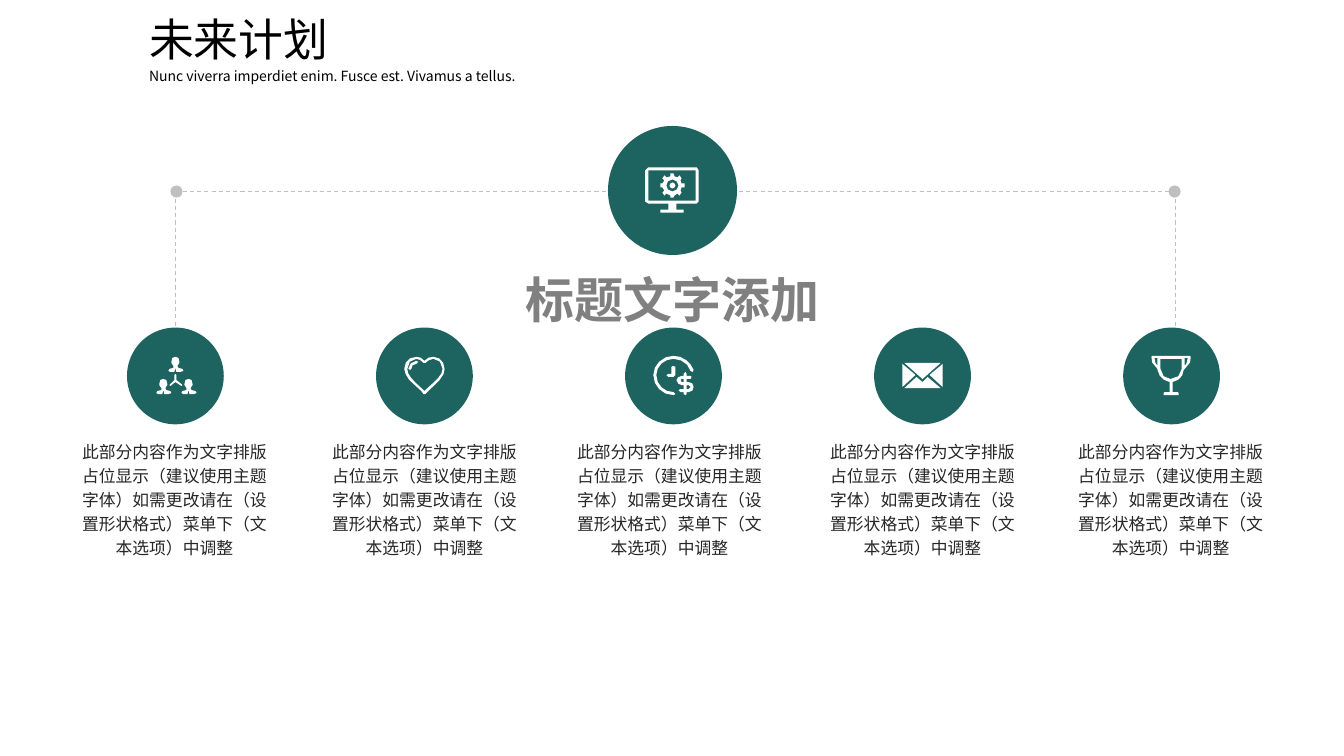
"""Build the future-plan slide: a hub linked to five icon columns."""
from math import dist
from lxml.etree import SubElement
from pptx import Presentation
from pptx.dml.color import RGBColor
from pptx.enum.dml import MSO_LINE
from pptx.enum.shapes import MSO_CONNECTOR, MSO_SHAPE
from pptx.enum.text import MSO_AUTO_SIZE, PP_ALIGN
from pptx.oxml.ns import qn
from pptx.util import Inches, Pt

FONT = "Noto Sans CJK SC"
TEAL, GREY, WHITE = "1D635F", "BFBFBF", "FFFFFF"
BODY = ("此部分内容作为文字排版占位显示（建议使用主题字体）"
        "如需更改请在（设置形状格式）菜单下（文本选项）中调整")
BODY_LEFTS = [0.69, 3.17, 5.6, 8.11, 10.57]
HEADINGS = [
    ("标题文字添加", (4.84, 2.51, 3.67, 0.71), 35, "808080", True, PP_ALIGN.CENTER, 1.2),
    ("未来计划", (1.38, 0.07, 2.49, 0.64), 32, "000000", False, PP_ALIGN.LEFT, 1.0),
    ("Nunc viverra imperdiet enim. Fusce est. Vivamus a tellus.",
     (1.38, 0.62, 4.03, 0.27), 10, "000000", False, PP_ALIGN.LEFT, 1.0),
]
HUB_CENTER, HUB_SIZE = (6.67, 1.89), 1.28
FIRST_CENTER, PITCH, DISC_SIZE = (1.74, 3.73), 2.47, 0.96
LINE_LEFT, LINE_RIGHT, LINE_TOP, LINE_BOTTOM = 1.74, 11.66, 1.9, 3.91
DOT_CENTERS, DOT_SIZE = [(1.75, 1.9), (11.65, 1.9)], 0.12

PERSON = ("0 0 L 3 1 L 4 5 L 4 6 L 2 9 L 3 11 L 7 12 L 8 14 L 5 15 L 1 15 L 0 11 "
          "L -1 15 L -5 15 L -7 14 L -6 12 L -2 11 L -2 9 L -4 6 L -4 5 L -3 1")
TEAM_LINK = "0 -2 L 1 -1 L 1 4 L 7 9 L 6 10 L 0 6 L -5 10 L -6 9 L -1 4 L -1 -1"
TEAM = [(PERSON, 0, -19), (PERSON, -12, 3), (PERSON, 13, 3), (TEAM_LINK, 0, 0)]
HEART = [
    "-8 -15 L -6 -14 L -8 -12 C -11 -12 -13 -10 -13 -7 L -14 -6 L -16 -7 "
    "C -16 -11 -12 -15 -8 -15",
    "-8 -17 C -13 -17 -17 -13 -17 -7 C -17 -1 -12 4 -2 13 L 0 15 L 2 13 "
    "C 12 4 18 -1 18 -7 C 18 -13 14 -17 9 -17 C 6 -17 3 -15 1 -13 L -1 -13 "
    "C -3 -15 -5 -17 -8 -17",
    "-8 -19 C -5 -19 -2 -18 0 -15 C 2 -18 6 -19 9 -19 C 15 -19 20 -14 20 -7 "
    "C 20 -4 19 0 15 4 L 4 15 L 1 18 L -1 18 L -3 15 L -15 4 "
    "C -18 0 -20 -4 -20 -7 C -20 -14 -15 -19 -8 -19",
]
CLOCK = [
    "13 9 L 13 13 L 15 13 L 17 11 L 15 9",
    "8 3 L 7 4 L 8 6 L 10 6 L 10 3",
    "12 -4 L 13 -2 L 13 0 L 17 0 L 18 1 L 17 3 L 13 3 L 13 6 L 15 6 "
    "C 18 6 20 8 20 11 C 20 14 18 16 15 16 L 13 16 L 13 18 L 12 19 L 10 18 L 10 16 "
    "L 7 16 L 5 14 L 7 13 L 10 13 L 10 9 L 8 9 C 6 9 3 7 3 4 C 3 2 6 0 8 0 L 10 0 "
    "L 10 -2",
    "0 -10 L 2 -9 L 2 -1 L 0 1 L -5 1 L -7 -1 L -5 -2 L -2 -2 L -2 -9",
    "0 -20 C 9 -20 17 -14 20 -6 L 19 -4 L 17 -5 C 15 -12 8 -17 0 -17 "
    "C -9 -17 -17 -10 -17 -1 C -17 9 -9 16 0 16 L 2 18 L 0 19 "
    "C -11 19 -20 10 -20 -1 C -20 -11 -11 -20 0 -20",
]
ENVELOPE = [
    "-6 1 L 0 6 L 5 1 L 18 12 L -18 12",
    "20 -12 L 20 11 L 7 -1",
    "-20 -12 L -7 -1 L -20 11",
    "-18 -13 L 18 -13 L 0 3",
]
TROPHY = [
    "19 -19 L 18 -20 L -19 -20 L -20 -19 C -20 -19 -20 -8 -14 -7 L -14 -6 "
    "C -13 0 -8 5 -2 6 L -2 16 L -7 16 L -8 17 L -8 19 L 7 19 L 7 17 L 6 16 "
    "L 1 16 L 1 6 C 7 5 12 0 12 -6 L 13 -7 C 19 -8 19 -19 19 -19",
    "-1 3 C -6 3 -11 -1 -11 -7 L -11 -17 L 10 -17 L 10 -7 C 10 -1 5 3 -1 3",
    "-14 -10 L -16 -13 L -17 -18 L -14 -18",
    "13 -10 L 13 -18 L 16 -18 L 15 -13",
]
MONITOR = [
    "0 -8 L 2 -7 L 3 -5 L 2 -3 L 0 -2 L -2 -3 L -3 -5 L -2 -7",
    "0 -11 C -4 -11 -6 -8 -6 -5 C -6 -2 -4 1 0 1 C 3 1 6 -2 6 -5 C 6 -8 3 -11 0 -11",
    "-2 -17 L 1 -17 L 2 -14 L 5 -13 L 7 -15 L 9 -12 L 8 -10 L 9 -7 L 12 -7 L 12 -3 "
    "L 9 -3 L 8 0 L 9 2 L 7 5 L 5 3 L 2 5 L 1 7 L -2 7 L -2 5 L -6 3 L -8 5 L -10 2 "
    "L -8 0 L -10 -3 L -12 -3 L -12 -7 L -10 -7 L -8 -10 L -10 -12 L -8 -15 "
    "L -6 -13 L -2 -14",
    "-24 -20 L -24 10 L 23 10 L 23 -20",
    "-24 -23 L 24 -23 L 26 -20 L 26 11 L 24 13 L 4 13 L 4 19 L 11 19 L 11 22 "
    "L -12 22 L -12 19 L -4 19 L -4 13 L -24 13 L -27 11 L -27 -20",
]
COLUMN_ICONS = [TEAM, HEART, CLOCK, ENVELOPE, TROPHY]
STEP_LENGTH, MOST_STEPS = 6, 4


def color(value):
    return RGBColor.from_string(value)


def paint(shape, fill):
    shape.shadow.inherit = False
    shape.fill.solid()
    shape.fill.fore_color.rgb = color(fill)
    shape.line.fill.background()


def add_disc(page, center, size, fill):
    left, top = (Inches(middle - size / 2) for middle in center)
    paint(page.shapes.add_shape(MSO_SHAPE.OVAL, left, top, Inches(size), Inches(size)), fill)


def trace(outline, shift_x=0, shift_y=0):
    points = []
    for segment in outline.replace("C", "L").split("L"):
        values = [int(word) for word in segment.split()]
        pairs = list(zip(values[::2], values[1::2]))
        if len(pairs) == 1:
            points += pairs
            continue
        knots = [points[-1]] + pairs
        steps = max(2, min(MOST_STEPS, round(dist(knots[0], knots[3]) / STEP_LENGTH)))
        for step in range(1, steps + 1):
            t = step / steps
            weights = ((1 - t) ** 3, 3 * t * (1 - t) ** 2, 3 * t * t * (1 - t), t ** 3)
            points.append(tuple(sum(w * knot[axis] for w, knot in zip(weights, knots))
                                for axis in (0, 1)))
    return [(Inches((x + shift_x) / 100), Inches((y + shift_y) / 100)) for x, y in points]


def add_icon(page, center, outlines):
    builder = None
    for outline in outlines:
        parts = (outline,) if isinstance(outline, str) else outline
        start, *rest = trace(*parts)
        if builder is None:
            builder = page.shapes.build_freeform(*start)
        else:
            builder.move_to(*start)
        builder.add_line_segments(rest, close=True)
    paint(builder.convert_to_shape(*(Inches(value) for value in center)), WHITE)


def add_line(page, *ends):
    line = page.shapes.add_connector(MSO_CONNECTOR.STRAIGHT, *(Inches(end) for end in ends))
    formats = {"width": Pt(0.75), "dash_style": MSO_LINE.DASH}
    line.line.color.rgb = color(GREY)
    for name, value in formats.items():
        setattr(line.line, name, value)
    SubElement(line._element.spPr, qn("a:effectLst"))


def add_text(page, text, place, size, ink, bold, align, spacing):
    frame = page.shapes.add_textbox(*(Inches(value) for value in place)).text_frame
    para = frame.paragraphs[0]
    span = para.add_run()
    span.text = text
    formats = [
        (frame, {"word_wrap": True, "auto_size": MSO_AUTO_SIZE.SHAPE_TO_FIT_TEXT}),
        (para, {"alignment": align, "line_spacing": spacing}),
        (span.font, {"size": Pt(size), "bold": bold, "name": FONT}),
    ]
    for target, values in formats:
        for name, value in values.items():
            setattr(target, name, value)
    span.font.color.rgb = color(ink)
    SubElement(span._r.get_or_add_rPr(), qn("a:ea")).set("typeface", FONT)


def main():
    deck = Presentation()
    deck.slide_width, deck.slide_height = Inches(13.33), Inches(7.5)
    page = deck.slides.add_slide(deck.slide_layouts[6])
    add_line(page, LINE_LEFT, LINE_TOP, LINE_RIGHT, LINE_TOP)
    for x in (LINE_LEFT, LINE_RIGHT):
        add_line(page, x, LINE_TOP, x, LINE_BOTTOM)
    add_disc(page, HUB_CENTER, HUB_SIZE, TEAL)
    add_icon(page, HUB_CENTER, MONITOR)
    for center in DOT_CENTERS:
        add_disc(page, center, DOT_SIZE, GREY)
    for column, (icon, left) in enumerate(zip(COLUMN_ICONS, BODY_LEFTS)):
        center = (FIRST_CENTER[0] + PITCH * column, FIRST_CENTER[1])
        add_disc(page, center, DISC_SIZE, TEAL)
        add_icon(page, center, icon)
        add_text(page, BODY, (left, 4.29, 2.08, 1.3), 12, "262626", False, PP_ALIGN.CENTER, 1.2)
    for heading in HEADINGS:
        add_text(page, *heading)
    deck.save("out.pptx")


if __name__ == "__main__":
    main()
